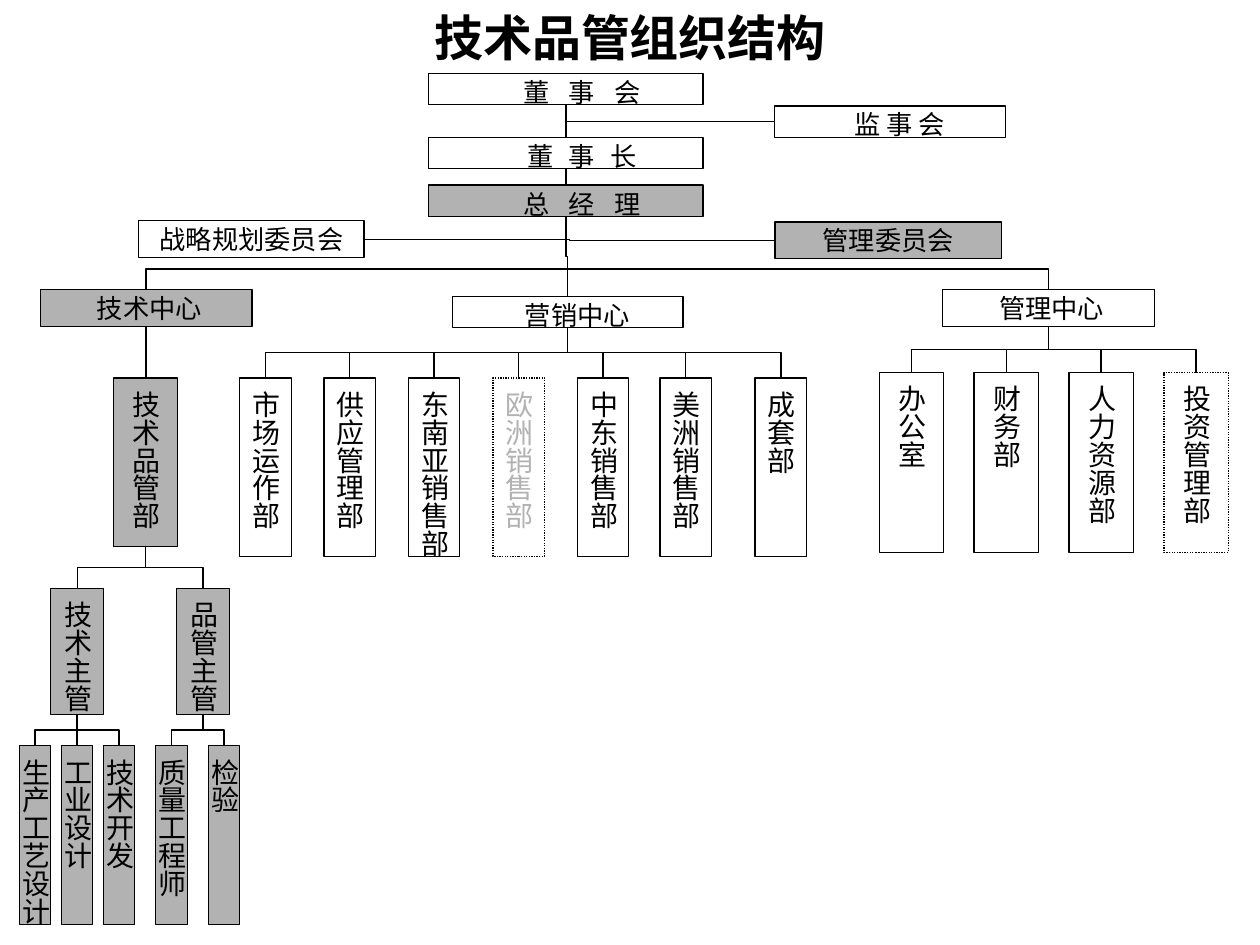
"""Draw the organisation chart of the technology and quality department."""
from dataclasses import dataclass

from pptx import Presentation
from pptx.dml.color import RGBColor as RGB
from pptx.enum.dml import MSO_LINE_DASH_STYLE as Dash
from pptx.enum.shapes import MSO_CONNECTOR as Conn, MSO_SHAPE as Shape
from pptx.enum.text import MSO_ANCHOR as Anchor, PP_ALIGN as Align
from pptx.oxml.ns import qn
from pptx.oxml.xmlchemy import OxmlElement
from pptx.util import Pt


@dataclass(frozen=True)
class Theme:
    """Colours, fonts and type sizes of the chart."""
    ink: RGB = RGB(0, 0, 0)
    grey: RGB = RGB(0xB2, 0xB2, 0xB2)
    white: RGB = RGB(255, 255, 255)
    latin: str = "Times New Roman"
    asian: str = "Noto Sans CJK SC"
    title: int = 28
    wide: int = 15
    tall: int = 16
    rule: float = 0.75
    space: float = 3.75


T = Theme()
WIDE = {"margin_left": Pt(7.2), "margin_right": Pt(7.2), "margin_top": Pt(3.6),
        "margin_bottom": Pt(3.6), "vertical_anchor": Anchor.TOP, "word_wrap": True}
TALL = {"margin_left": Pt(3.6), "margin_right": Pt(3.6), "margin_top": Pt(7.2),
        "margin_bottom": Pt(7.2), "vertical_anchor": Anchor.MIDDLE, "word_wrap": False}
TITLE = {**WIDE, "vertical_anchor": Anchor.MIDDLE}


def put(obj, values):
    """Set every attribute named in values on obj."""
    for name, value in values.items():
        setattr(obj, name, value)


def write(sp, text, frame, size, color=T.ink, latin=T.latin, bold=False, para=None):
    """Write one centred paragraph and return it with its run."""
    tf = sp.text_frame
    put(tf, frame)
    p = tf.paragraphs[0]
    put(p, {"alignment": Align.CENTER, **(para or {})})
    r = p.add_run()
    r.text = text
    put(r.font, {"size": Pt(size), "name": latin, "bold": bold})
    r.font.color.rgb = color
    ea = OxmlElement("a:ea")
    ea.set("typeface", T.asian)
    r.font._element.find(qn("a:latin")).addnext(ea)
    return p, r


def box(s, x, y, w, h, fill, dash=None):
    """Add a thinly outlined rectangle."""
    sp = s.shapes.add_shape(Shape.RECTANGLE, Pt(x), Pt(y), Pt(w), Pt(h))
    sp.shadow.inherit = False
    if fill is None:
        sp.fill.background()
    else:
        sp.fill.solid()
        sp.fill.fore_color.rgb = fill
    sp.line.color.rgb = T.ink
    put(sp.line, {"width": Pt(T.rule), "dash_style": dash})
    return sp


def wide_box(s, text, x, y, w, h, fill=T.white, indent=0, spacing=0):
    """Add a box with horizontal text, indented by a number of spaces."""
    sp = box(s, x, y, w, h, fill)
    p, r = write(sp, text, WIDE, T.wide, para={"line_spacing": 0.9})
    p._p.get_or_add_pPr().set("marL", str(Pt(indent * T.space)))
    if spacing:
        r.font._element.set("spc", str(round(spacing * 100)))


def tall_box(s, text, x, y, w, h, fill=None, dash=None, color=T.ink):
    """Add a box with vertical text."""
    sp = box(s, x, y, w, h, fill, dash)
    write(sp, text, TALL, T.tall, color)
    sp.text_frame._txBody.bodyPr.set("vert", "eaVert")


def line(s, x1, y1, x2, y2, kind=Conn.STRAIGHT):
    """Add a connector without shadow."""
    c = s.shapes.add_connector(kind, Pt(x1), Pt(y1), Pt(x2), Pt(y2))
    c.line.color.rgb = T.ink
    c.line.width = Pt(T.rule)
    c._element.spPr.append(OxmlElement("a:effectLst"))
    return c


def drop(s, x1, y1, x2, y2, bend=0.5):
    """Add an elbow that leaves and arrives vertically, turned a quarter."""
    cx, cy, dx, dy = (x1 + x2) / 2, (y1 + y2) / 2, (x2 - x1) / 2, (y2 - y1) / 2
    c = line(s, cx - dy, cy + dx, cx + dy, cy - dx, Conn.ELBOW)
    spPr = c._element.spPr
    spPr.find(qn("a:xfrm")).set("rot", str(90 * 60000))
    gd = OxmlElement("a:gd")
    gd.set("name", "adj1")
    gd.set("fmla", f"val {round(bend * 100000)}")
    spPr.find(qn("a:prstGeom")).get_or_add_avLst().append(gd)


def branch(s, parent, y, w, h, units, fill=None):
    """Add a row of tall boxes, each joined to the parent point."""
    for text, x, *look in units:
        tall_box(s, text, x, y, w, h, fill, *look)
        center = x + w / 2
        if abs(center - parent[0]) < 1:
            line(s, *parent, parent[0], y)
        else:
            drop(s, *parent, center, y)


def leaders(s):
    """Add the board, its officers and the committees."""
    wide_box(s, "董 事 会", 244.8, 41.8, 157, 18, indent=5, spacing=3.75)
    wide_box(s, "董 事 长", 244.8, 78.5, 157, 18, indent=5, spacing=2.8)
    wide_box(s, "监 事 会", 442.8, 60.5, 131.8, 18, indent=3)
    wide_box(s, "总 经 理", 244.8, 105.8, 157, 18, T.grey, indent=5, spacing=3.75)
    wide_box(s, "战略规划委员会", 79.2, 126.2, 128.9, 20.9)
    wide_box(s, "管理委员会", 442.8, 126.8, 129.4, 20.9, T.grey)
    line(s, 323.5, 59.8, 323.5, 78.5)
    line(s, 323.5, 96.5, 323.5, 105.8)
    line(s, 442.8, 69.3, 323.5, 69.3)
    line(s, 442.8, 137.3, 208.1, 136.7, Conn.ELBOW)


def centers(s):
    """Add the three centers and the bracket above them."""
    wide_box(s, "技术中心", 23, 165.6, 121, 20.9, T.grey, indent=1)
    wide_box(s, "营销中心", 258.5, 169.4, 131.8, 17.8, indent=3)
    wide_box(s, "管理中心", 538.6, 165.6, 121, 20.9, indent=1)
    drop(s, 323.5, 123.8, 324.5, 169.4)
    drop(s, 599, 165.6, 83.5, 165.78, bend=-70)


def departments(s):
    """Add the departments under each center."""
    branch(s, (83.5, 186.5), 216, 36.8, 96.5, [("技术品管部", 64.8)], T.grey)
    branch(s, (324.4, 187.2), 216, 29.5, 102, [
        ("市场运作部", 137), ("供应管理部", 185.1), ("东南亚销售部", 233.3),
        ("欧洲销售部", 281.7, Dash.ROUND_DOT, T.grey), ("中东销售部", 329.8),
        ("美洲销售部", 377.1), ("成套部", 431.5)])
    names = ["办公室", "财务部", "人力资源部"]
    offices = [(name, 502.4 + 54.2 * i) for i, name in enumerate(names)]
    offices.append(("投资管理部", 665.1, Dash.ROUND_DOT))
    branch(s, (599, 186.5), 212.9, 36.8, 102.8, offices)


def teams(s):
    """Add the supervisors and their teams."""
    branch(s, (83, 312.5), 336.2, 30.2, 72,
           [("技术主管", 29), ("品管主管", 101)], T.grey)
    names = ["生产工艺设计", "工业设计", "技术开发"]
    branch(s, (44.1, 408.2), 426.2, 18, 102,
           [(name, 11 + 24 * i) for i, name in enumerate(names)], T.grey)
    branch(s, (116.1, 408.2), 426.2, 18, 102,
           [("质量工程师", 89), ("检验", 119)], T.grey)


def main():
    """Build and save the slide."""
    prs = Presentation()
    put(prs, {"slide_width": Pt(720), "slide_height": Pt(540)})
    s = prs.slides.add_slide(prs.slide_layouts[6])
    sp = s.shapes.add_textbox(Pt(54), Pt(5.8), Pt(612), Pt(30.2))
    write(sp, "技术品管组织结构", TITLE, T.title, latin=T.asian, bold=True)
    for part in (leaders, centers, departments, teams):
        part(s)
    prs.save("out.pptx")


if __name__ == "__main__":
    main()
